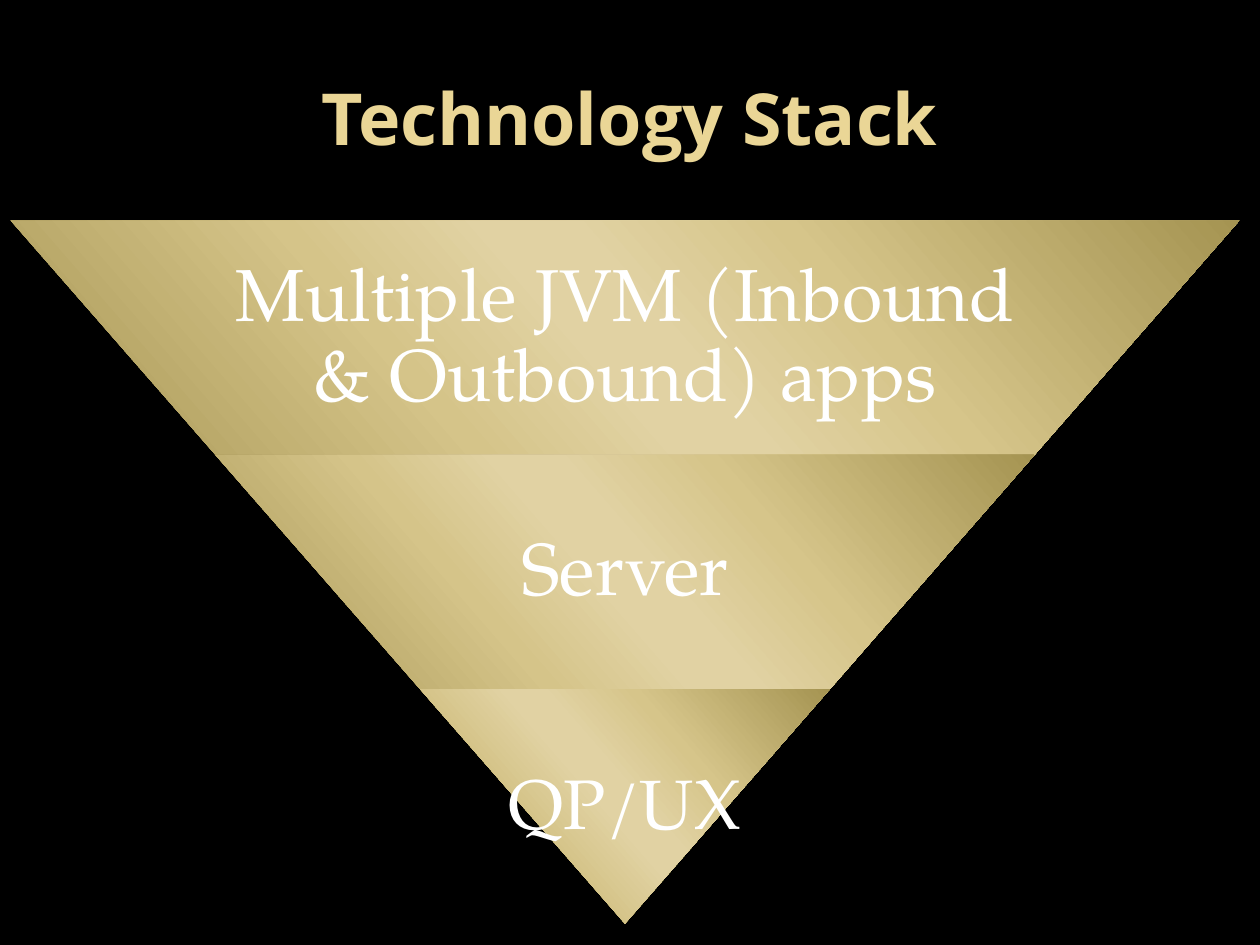
from lxml import etree
from pptx import Presentation
from pptx.dml.color import RGBColor
from pptx.enum.shapes import MSO_SHAPE
from pptx.enum.text import MSO_ANCHOR, PP_ALIGN
from pptx.oxml.ns import qn
from pptx.util import Inches, Pt

TRAPEZOID = MSO_SHAPE.TRAPEZOID
MIDDLE = MSO_ANCHOR.MIDDLE
CENTER = PP_ALIGN.CENTER

BLACK = RGBColor(0x00, 0x00, 0x00)
WHITE = RGBColor(0xFF, 0xFF, 0xFF)
GOLD = RGBColor(0xEA, 0xD6, 0x96)
DARK_GOLD = RGBColor(0xA5, 0x94, 0x52)
MID_GOLD = RGBColor(0xD5, 0xC4, 0x89)
PALE_GOLD = RGBColor(0xE1, 0xD2, 0xA3)
SOFT_GOLD = RGBColor(0xD6, 0xC5, 0x8A)

STOPS = [(0, DARK_GOLD), (33, MID_GOLD), (47, PALE_GOLD),
         (53, PALE_GOLD), (68, SOFT_GOLD), (100, DARK_GOLD)]
GRADIENT_ANGLE = 139

# text, font size, text width as a share of the layer width
LAYERS = [("Multiple JVM (Inbound & Outbound) apps", 42, 0.65),
          ("Server", 42, 0.65),
          ("QP/UX", 40, 1)]
STACK_TOP, STACK_WIDTH, CENTER_X, LAYER_HEIGHT = 1.75, 9.75, 4.96, 1.86


def format_text(tf, text, font, size, color, bold=False):
    """Set one centred paragraph and its font."""
    tf.word_wrap = True
    tf.vertical_anchor = MIDDLE
    tf.text = text
    p = tf.paragraphs[0]
    p.alignment = CENTER
    f = p.runs[0].font
    f.name, f.size, f.bold = font, Pt(size), bold
    f.color.rgb = color
    return p


def fill_gradient(sp):
    """Give a shape the diagonal gold gradient."""
    sp.fill.gradient()
    sp.fill.gradient_angle = 360 - GRADIENT_ANGLE
    stops = sp._element.spPr.find(qn("a:gradFill")).find(qn("a:gsLst"))
    for gs in list(stops):
        stops.remove(gs)
    for position, color in STOPS:
        gs = etree.SubElement(stops, qn("a:gs"), pos=str(position * 1000))
        etree.SubElement(gs, qn("a:srgbClr"), val=str(color))


def add_title(s, text):
    """Place the slide title."""
    sp = s.shapes.title
    sp.left, sp.top = Inches(0.5), Inches(0.3)
    sp.width, sp.height = Inches(9), Inches(1.25)
    format_text(sp.text_frame, text, "Open Sans", 41, GOLD, True)


def add_layer(group, top, width, inset, text, size, share):
    """Add one inverted trapezoid and its label."""
    sp = group.shapes.add_shape(
        TRAPEZOID, Inches(CENTER_X - width / 2), Inches(top),
        Inches(width), Inches(LAYER_HEIGHT))
    sp.rotation = 180
    sp.adjustments[0] = inset / LAYER_HEIGHT
    sp.shadow.inherit = False
    sp.line.fill.background()
    fill_gradient(sp)

    text_width = width * share
    box = group.shapes.add_textbox(
        Inches(CENTER_X - text_width / 2), Inches(top),
        Inches(text_width), Inches(LAYER_HEIGHT))
    tf = box.text_frame
    tf.margin_left = tf.margin_right = Inches(0.06)
    tf.margin_top = tf.margin_bottom = Inches(0.06)
    p = format_text(tf, text, "TeX Gyre Pagella", size, WHITE)
    p.line_spacing = 0.9


def add_stack(s):
    """Build the inverted pyramid from equal layers."""
    group = s.shapes.add_group_shape()
    step = STACK_WIDTH / len(LAYERS)
    for i, (text, size, share) in enumerate(LAYERS):
        add_layer(group, STACK_TOP + i * LAYER_HEIGHT,
                  STACK_WIDTH - i * step, step / 2, text, size, share)


def main():
    """Build and save the slide."""
    prs = Presentation()
    prs.slide_width, prs.slide_height = Inches(10), Inches(7.5)
    s = prs.slides.add_slide(prs.slide_layouts[5])
    s.background.fill.solid()
    s.background.fill.fore_color.rgb = BLACK
    add_title(s, "Technology Stack")
    add_stack(s)
    prs.save("out.pptx")


if __name__ == "__main__":
    main()
